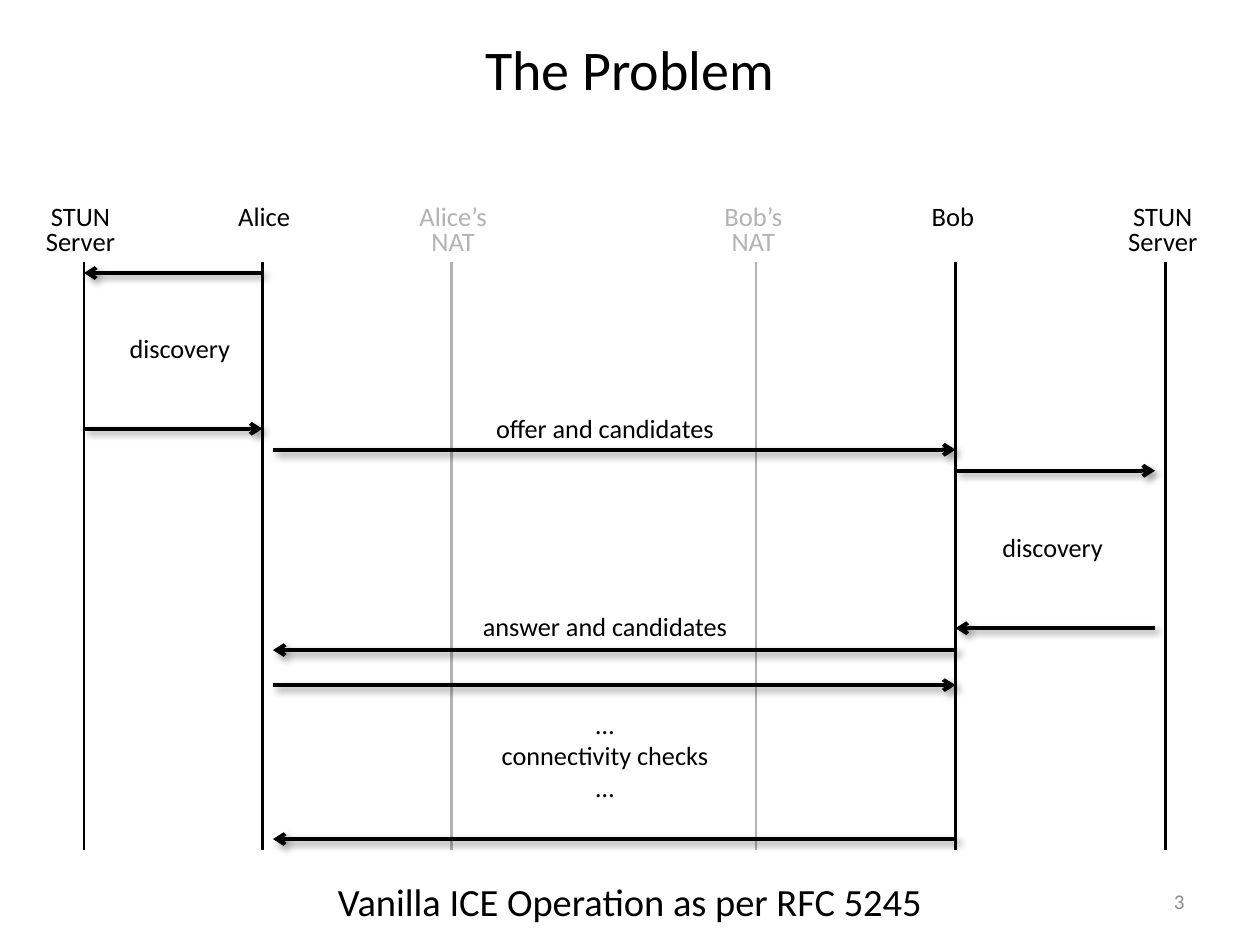
from dataclasses import dataclass

from lxml import etree
from pptx import Presentation
from pptx.dml.color import RGBColor
from pptx.enum.shapes import MSO_CONNECTOR as Connector, MSO_SHAPE as Shape
from pptx.enum.text import MSO_ANCHOR as Anchor, MSO_AUTO_SIZE as AutoSize, PP_ALIGN as Align
from pptx.oxml.ns import qn
from pptx.util import Pt


@dataclass(frozen=True)
class Theme:
    font: str = "Calibri"
    ink: RGBColor = RGBColor(0, 0, 0)
    paper: RGBColor = RGBColor(255, 255, 255)
    muted: RGBColor = RGBColor(0x8C, 0x8C, 0x8C)
    title: float = 32
    caption: float = 22
    participant: float = 15.2
    message: float = 15
    number: float = 12
    lifeline: float = 1.5
    arrow: float = 2.25


@dataclass(frozen=True)
class Box:
    left: float
    top: float
    width: float
    height: float

    def inner(self, left, top, width, height):
        return Box(self.left + left, self.top + top, width, height)

    def points(self):
        return [Pt(value) for value in (self.left, self.top, self.width, self.height)]


THEME = Theme()

# Name, lifeline x, label centre x, all within the diagram
PARTICIPANTS = {
    "near_stun": ("STUN\nServer", 0, -2),
    "alice": ("Alice", 102, 103),
    "alice_nat": ("Alice’s\nNAT", 210, 211),
    "bob_nat": ("Bob’s\nNAT", 384, 382.5),
    "bob": ("Bob", 498, 496.5),
    "far_stun": ("STUN\nServer", 618, 616.5),
}
FADED = ("alice_nat", "bob_nat")
GAP = 6  # space left before some lifelines

# Sender x, receiver x, y
ALICE, BOB, FAR_STUN = (PARTICIPANTS[name][1] for name in ("alice", "bob", "far_stun"))
ARROWS = [
    (ALICE, 0, 78),
    (0, ALICE, 167),
    (ALICE + GAP, BOB, 179),
    (BOB, FAR_STUN - GAP, 191),
    (FAR_STUN - GAP, BOB, 281),
    (BOB, ALICE + GAP, 293.5),
    (ALICE + GAP, BOB, 313.5),
    (BOB, ALICE + GAP, 401.5),
]
MESSAGES = [
    ("discovery", (9, 108.5, 91.5, 25)),
    ("offer and candidates", (144, 154, 307.5, 25)),
    ("answer and candidates", (144, 267.5, 307.5, 25)),
    ("…\nconnectivity checks\n…", (109.5, 323, 376.5, 62)),
    ("discovery", (498.5, 222, 110, 25)),
]


def write(shape, text, size, color=THEME.ink, align=Align.CENTER, anchor=Anchor.TOP, spacing=1.0):
    frame = shape.text_frame
    frame_format = {"word_wrap": True, "auto_size": AutoSize.NONE, "vertical_anchor": anchor}
    for name, value in frame_format.items():
        setattr(frame, name, value)
    paragraph = frame.paragraphs[0]
    paragraph.text = text
    paragraph_format = {"alignment": align, "line_spacing": spacing, "space_before": Pt(0)}
    for name, value in paragraph_format.items():
        setattr(paragraph, name, value)
    for run in paragraph.runs:
        for name, value in {"name": THEME.font, "size": Pt(size)}.items():
            setattr(run.font, name, value)
        run.font.color.rgb = color
    return paragraph


def add_text(slide, box, text, size, **options):
    write(slide.shapes.add_textbox(*box.points()), text, size, **options)


def place(shape, box):
    for name, value in zip(("left", "top", "width", "height"), box.points()):
        setattr(shape, name, value)


def add_line(slide, start, end, width):
    """Draw a line without a shadow; return it with its empty effect list."""
    line = slide.shapes.add_connector(
        Connector.STRAIGHT, *(Pt(value) for value in (*start, *end)))
    line.line.width = Pt(width)
    line.line.color.rgb = THEME.ink
    return line, etree.SubElement(line._element.spPr, qn("a:effectLst"))


def add_arrow(slide, start, end):
    line, effects = add_line(slide, start, end, THEME.arrow)
    etree.SubElement(line.line._get_or_add_ln(), qn("a:tailEnd"), type="arrow")
    shadow = etree.SubElement(
        effects, qn("a:outerShdw"), blurRad=str(Pt(4)), dist=str(Pt(3)),
        dir=str(45 * 60000), rotWithShape="0")
    color = etree.SubElement(shadow, qn("a:srgbClr"), val=str(THEME.ink))
    etree.SubElement(color, qn("a:alpha"), val="40000")


def add_title(slide, box):
    place(slide.shapes.title, box)
    write(slide.shapes.title, "The Problem", THEME.title, anchor=Anchor.MIDDLE)


def add_caption(slide, box):
    body = slide.placeholders[1]
    place(body, box)
    body.fill.solid()
    body.fill.fore_color.rgb = THEME.paper
    paragraph = write(body, "Vanilla ICE Operation as per RFC 5245", THEME.caption)
    properties = paragraph._p.get_or_add_pPr()
    properties.set("marL", "0")
    properties.set("indent", "0")
    etree.SubElement(properties, qn("a:buNone"))


def add_participant_label(slide, box, name):
    text, _, center = PARTICIPANTS[name]
    add_text(slide, box.inner(center - 37.5, 36, 75, 36), text, THEME.participant, spacing=0.8)


def add_fade(slide, box):
    fade = slide.shapes.add_shape(Shape.RECTANGLE, *box.points())
    fade.shadow.inherit = False
    fade.line.fill.background()
    fade.fill.solid()
    fade.fill.fore_color.rgb = THEME.paper
    color = fade._element.spPr.find(qn("a:solidFill"))[0]
    etree.SubElement(color, qn("a:alpha"), val="70000")


def add_sequence_diagram(slide, box):
    # Faded participants and all lifelines lie under the veil
    for name in FADED:
        add_participant_label(slide, box, name)
    for _, x, _ in PARTICIPANTS.values():
        x += box.left
        add_line(slide, (x, box.top + 407.5), (x, box.top + 72), THEME.lifeline)
    add_fade(slide, box.inner(140.5, 0, 297.5, box.height))

    # Active participants
    for name in PARTICIPANTS:
        if name not in FADED:
            add_participant_label(slide, box, name)

    # Messages
    for sender, receiver, y in ARROWS:
        add_arrow(slide, (box.left + sender, box.top + y), (box.left + receiver, box.top + y))
    for text, area in MESSAGES:
        add_text(slide, box.inner(*area), text, THEME.message)


def add_slide_number(slide, box):
    add_text(slide, box, "3", THEME.number, color=THEME.muted,
             align=Align.RIGHT, anchor=Anchor.MIDDLE)


def main():
    presentation = Presentation()
    presentation.slide_width, presentation.slide_height = Pt(720), Pt(540)
    slide = presentation.slides.add_slide(presentation.slide_layouts[1])
    add_title(slide, Box(36, -6, 648, 90))
    add_sequence_diagram(slide, Box(48, 78, 618, 420))
    add_caption(slide, Box(141, 498, 438, 42))
    add_slide_number(slide, Box(516, 500.5, 168, 29))
    presentation.save("out.pptx")


if __name__ == "__main__":
    main()
